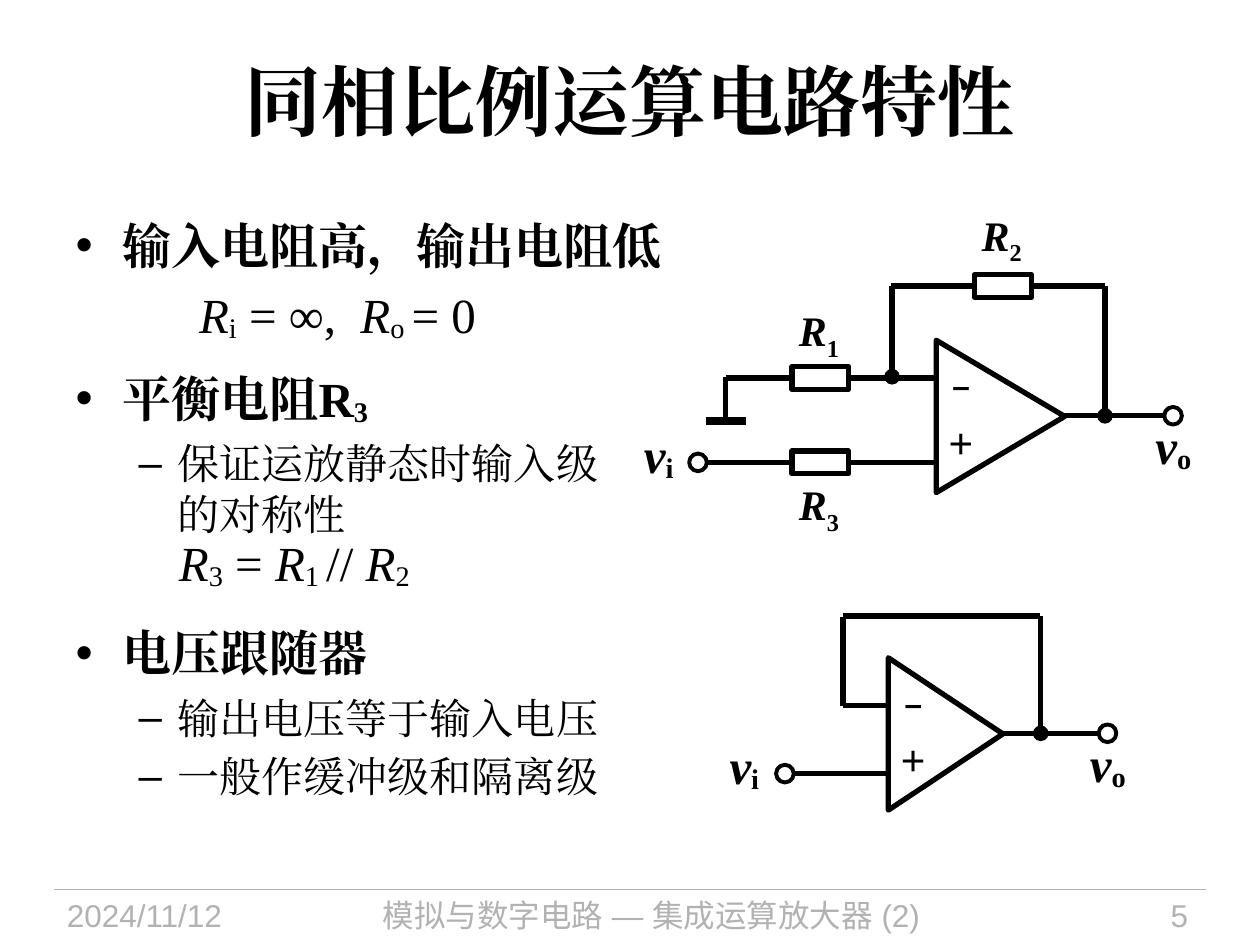
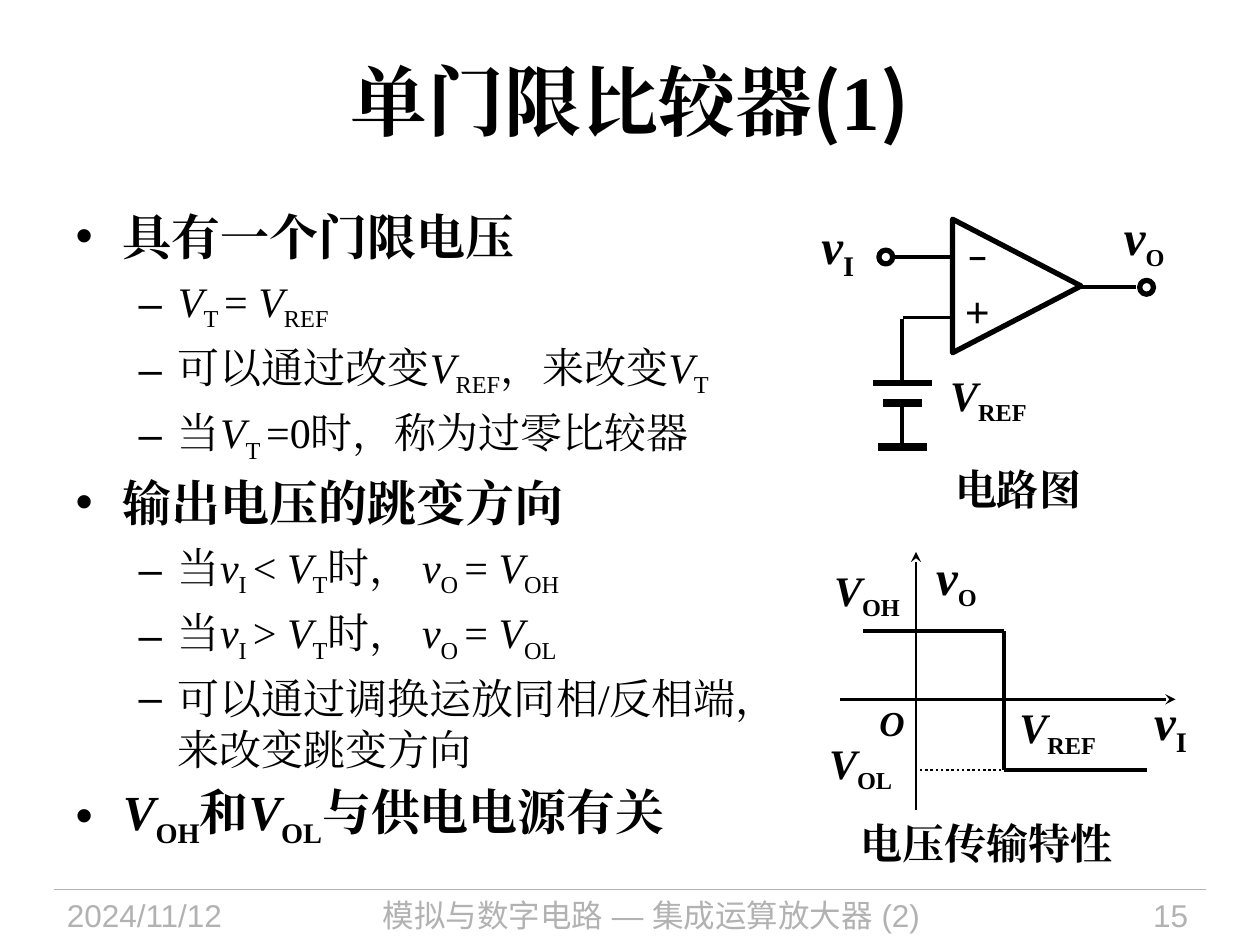
import dataclasses

import lxml.etree
import pptx
import pptx.dml.color
import pptx.enum.dml
import pptx.enum.lang
import pptx.enum.shapes
import pptx.enum.text
import pptx.oxml.ns
import pptx.util

INK, GREY, WHITE = "000000", "B2B2B2", "FFFFFF"
SERIF, SANS, CJK = "Times New Roman", "Arial", "Noto Sans CJK SC"
DATE, COURSE = "2024/11/12", "模拟与数字电路 — 集成运算放大器 (2)"

ALIGN = pptx.enum.text.PP_ALIGN
MIDDLE = pptx.enum.text.MSO_ANCHOR.MIDDLE
SHAPE = pptx.enum.shapes.MSO_SHAPE
Inches, Pt = pptx.util.Inches, pptx.util.Pt


def color(code):
    return pptx.dml.color.RGBColor.from_string(code)


def child(parent, tag, **attrs):
    return lxml.etree.SubElement(parent, pptx.oxml.ns.qn(tag), **attrs)


def write(par, text, size, bold=False, font=SERIF, ink=INK, drop=25, small=None):
    """Split text at bars: * starts italics, _ a subscript, ^ the CJK font."""
    for piece in text.split("|"):
        mark = piece[0] if piece[0] in "*_^" else ""
        run = par.add_run()
        run.text = piece[len(mark):]
        run.font.size = Pt(small if small and mark == "_" else size)
        run.font.bold = bold
        run.font.italic = mark == "*"
        run.font.color.rgb = color(ink)
        run.font.language_id = pptx.enum.lang.MSO_LANGUAGE_ID.SIMPLIFIED_CHINESE
        face = CJK if mark == "^" else font
        run.font.name = face
        props = run._r.get_or_add_rPr()
        child(props, "a:ea", typeface=face)
        if mark == "_":
            props.set("baseline", str(-1000 * drop))


def place(shape, x, y, w, h):
    shape.left, shape.top = Inches(x), Inches(y)
    shape.width, shape.height = Inches(w), Inches(h)


@dataclasses.dataclass
class Pen:
    """Draws on a slide, measuring in inches from a box's left and top."""
    slide: object
    left: float = 0
    top: float = 0

    def wire(self, x1, y1, x2, y2, width=3, end=None, dash=None, ink=INK):
        line = self.slide.shapes.add_connector(
            pptx.enum.shapes.MSO_CONNECTOR.STRAIGHT,
            Inches(self.left + x1), Inches(self.top + y1),
            Inches(self.left + x2), Inches(self.top + y2))
        line.line.width = Pt(width)
        line.line.color.rgb = color(ink)
        if dash:
            line.line.dash_style = dash
        if end:
            child(line.line._get_or_add_ln(), "a:tailEnd", type=end)
        child(line._element.spPr, "a:effectLst")

    def solid(self, kind, x, y, w, h, width, fill=WHITE):
        """Add a preset shape centred on x, y."""
        shape = self.slide.shapes.add_shape(
            kind, Inches(self.left + x - w / 2), Inches(self.top + y - h / 2),
            Inches(w), Inches(h))
        shape.shadow.inherit = False
        if fill:
            shape.fill.solid()
            shape.fill.fore_color.rgb = color(fill)
        else:
            shape.fill.background()
        shape.line.color.rgb = color(INK)
        shape.line.width = Pt(width)
        return shape

    def pin(self, x, y, size=0.14, width=2.25):
        self.solid(SHAPE.OVAL, x, y, size, size, width)

    def resistor(self, x, y):
        self.solid(SHAPE.RECTANGLE, x, y, 0.45, 0.18, 3)

    def label(self, text, x, y, size=24, w=1, h=0.4, bold=True,
              align=ALIGN.LEFT, anchor=None, **style):
        box = self.slide.shapes.add_textbox(0, 0, 0, 0)
        place(box, self.left + x, self.top + y, w, h)
        frame = box.text_frame
        frame.word_wrap = True
        frame.margin_left = frame.margin_right = 0
        frame.margin_top = frame.margin_bottom = 0
        if anchor:
            frame.vertical_anchor = anchor
        frame.paragraphs[0].alignment = align
        write(frame.paragraphs[0], text, size, bold, **style)

    def opamp(self, x, y, w, h):
        mid = y + h / 2
        body = self.solid(SHAPE.ISOSCELES_TRIANGLE, x + w / 2, mid, h, w, 3, None)
        body.rotation = 90
        self.label("+", x + 0.1, mid, w=0.2, bold=False, font=SANS, anchor=MIDDLE)
        self.label("–", x + 0.13, mid - 0.4, 18, w=0.2, h=0.3, font=SANS,
                   anchor=MIDDLE)


def frame(deck, layout, title, number):
    slide = deck.slides.add_slide(deck.slide_layouts[layout])
    head = slide.shapes.title
    place(head, 0.5, 0.17, 9, 1.25)
    head.text_frame.vertical_anchor = MIDDLE
    head.text_frame.paragraphs[0].alignment = ALIGN.CENTER
    write(head.text_frame.paragraphs[0], title, 44, True)
    pen = Pen(slide, 0.43, 7.06)
    pen.wire(0, 0, 9.14, 0, 0.75, ink=GREY)
    for text, x, w, align in ((DATE, 0.1, 1.68, ALIGN.LEFT),
                              (COURSE, 2.16, 5.16, ALIGN.CENTER),
                              (number, 7.87, 1.13, ALIGN.RIGHT)):
        pen.label(text, x, 0.05, 18, w, bold=False, align=align, font=SANS, ink=GREY)
    return slide


def bullets(holder, box, items, drop=25):
    """Fill a body placeholder; items that start with a dash are one level down."""
    place(holder, *box)
    body = holder.text_frame
    body.auto_size = pptx.enum.text.MSO_AUTO_SIZE.NONE
    for i, item in enumerate(items):
        par = body.add_paragraph() if i else body.paragraphs[0]
        sub = item.startswith("-")
        par.level = int(sub)
        size = 24 if sub else 28
        par.space_before, par.space_after = Pt(0), Pt(size / 5)
        write(par, item.lstrip("-"), size, not sub, drop=drop)
    return body.paragraphs


def noninverting(slide, left, top):
    pen = Pen(slide, left, top)
    pen.wire(0.76, 1.4, 2.43, 1.4)
    pen.wire(0.61, 2.07, 2.42, 2.07)
    pen.wire(3.44, 1.7, 4.25, 1.7)
    pen.wire(0.76, 1.39, 0.76, 1.73)
    pen.wire(0.6, 1.74, 0.92, 1.74, 4.5)
    pen.wire(2.07, 0.67, 3.77, 0.67)
    pen.wire(3.77, 0.67, 3.77, 1.7, end="oval")
    pen.wire(2.08, 0.67, 2.08, 1.39, end="oval")
    for name, x, y, up in (("1", 1.51, 1.4, -0.58), ("2", 2.96, 0.67, -0.61),
                           ("3", 1.51, 2.07, 0.13)):
        pen.resistor(x, y)
        pen.label("*R|_" + name, x - 0.17, y + up)
    pen.pin(0.54, 2.07)
    pen.pin(4.31, 1.7)
    pen.label("*v|_i", 0.11, 1.77, 28, 0.5, drop=10)
    pen.label("*v|_o", 4.17, 1.7, 28, 0.5, drop=10)
    pen.opamp(2.43, 1.1, 1.02, 1.21)


def follower(slide, left, top):
    pen = Pen(slide, left, top)
    pen.wire(0.99, 0.8, 1.37, 0.8)
    pen.wire(0.6, 1.34, 1.33, 1.34)
    pen.wire(2.22, 1.02, 3.03, 1.02)
    pen.wire(0.99, 0.09, 2.55, 0.09)
    pen.wire(2.56, 0.09, 2.56, 1.02, end="oval")
    pen.wire(0.99, 0.1, 0.99, 0.8)
    pen.pin(0.53, 1.34)
    pen.pin(3.09, 1.02)
    pen.label("*v|_i", 0.09, 1.04, 28, 0.5, drop=10)
    pen.label("*v|_o", 2.95, 1.02, 28, 0.5, drop=10)
    pen.opamp(1.35, 0.42, 0.91, 1.21)


def comparator(slide, left, top):
    pen = Pen(slide, left, top)
    for ends in ((0.77, 1.02, 1.14, 1.02), (2.15, 0.78, 2.62, 0.78),
                 (0.69, 0.54, 1.16, 0.54), (0.76, 1.03, 0.76, 1.54),
                 (0.76, 1.7, 0.76, 2.05)):
        pen.wire(*ends, 2.25)
    pen.wire(0.53, 1.54, 1, 1.54)
    pen.wire(0.61, 1.7, 0.92, 1.7, 4.5)
    pen.wire(0.57, 2.05, 0.96, 2.05, 4.5)
    pen.pin(0.63, 0.54, 0.11, 3)
    pen.pin(2.7, 0.78, 0.11, 3)
    pen.opamp(1.16, 0.24, 1.02, 1.06)
    pen.label("*v|_I", 0.12, 0.21, 28, 0.5)
    pen.label("*v|_O", 2.52, 0.14, 28, 0.5, small=24)
    pen.label("*V|_REF", 1.14, 1.43)
    pen.label("电路图", 1.18, 2.18, w=1.2)


def transfer(slide, left, top):
    """Plot output voltage against input voltage."""
    pen = Pen(slide, left, top)
    pen.wire(0.67, 2.13, 0.67, 0.08, 1.5, "stealth")
    pen.wire(0.07, 1.25, 2.73, 1.25, 1.5, "stealth")
    pen.wire(0.25, 0.71, 1.37, 0.71, 2.25)
    pen.wire(1.37, 0.71, 1.37, 1.81, 2.25)
    pen.wire(1.37, 1.81, 2.5, 1.81, 2.25)
    pen.wire(0.7, 1.81, 1.47, 1.81, 1.5,
             dash=pptx.enum.dml.MSO_LINE.ROUND_DOT)
    pen.label("*v|_O", 0.83, 0.04, 28, 0.5, small=24)
    pen.label("*v|_I", 2.56, 1.19, 28, 0.5)
    pen.label("*V|_OH", 0.02, 0.18)
    pen.label("*V|_OL", -0.02, 1.55)
    pen.label("*V|_REF", 1.49, 1.27)
    pen.label("*O", 0.38, 1.27, 20, 0.3)
    pen.label("电压传输特性", 0.23, 2.19, w=2.1)


def amplifier(deck):
    slide = frame(deck, 3, "同相比例运算电路特性", "5")
    first, second = list(slide.placeholders)[1:3]
    bullets(first, (0.5, 1.66, 5.92, 0.71), ["输入电阻高，输出电阻低"])
    pars = bullets(second, (0.5, 2.92, 4.53, 4.02), [
        "平衡电阻|R|_3", "-保证运放静态时输入级的对称性",
        "电压跟随器", "-输出电压等于输入电压", "-一般作缓冲级和隔离级"], 10)
    pars[0].line_spacing = pars[2].line_spacing = 0.9
    pars[1].space_after = Pt(12)
    pars[2].space_before = Pt(40)
    pen = Pen(slide)
    pen.label("*R|_i| = ∞,  |*R|_o |= 0", 1.58, 2.26, 28, 2.5, 0.47, False, drop=10)
    pen.label("*R|_3| = |*R|_1 |// |*R|_2", 1.42, 4.23, 28, 2.2, 0.47, False, drop=10)
    noninverting(slide, 5, 1.6)
    follower(slide, 5.7, 4.8)


def threshold(deck):
    slide = frame(deck, 1, "单门限比较器|^(|1|^)", "15")
    jumps = ["-当|*v|_I |%s |*V|_T|时， |*v|_O |= |*V|_%s" % pair
             for pair in (("<", "OH"), (">", "OL"))]
    bullets(slide.placeholders[1], (0.5, 1.59, 5.77, 5.39), [
        "具有一个门限电压", "-*V|_T |= |*V|_REF",
        "-可以通过改变|*V|_REF|，来改变|*V|_T", "-当|*V|_T |=0时，称为过零比较器",
        "输出电压的跳变方向", *jumps,
        "-可以通过调换运放同相/反相端，来改变跳变方向",
        "*V|_OH|和|*V|_OL|与供电电源有关"])
    comparator(slide, 6.4, 1.5)
    transfer(slide, 6.6, 4.3)


def main():
    deck = pptx.Presentation()
    deck.slide_width, deck.slide_height = Inches(10), Inches(7.5)
    amplifier(deck)
    threshold(deck)
    deck.save("out.pptx")


if __name__ == "__main__":
    main()
